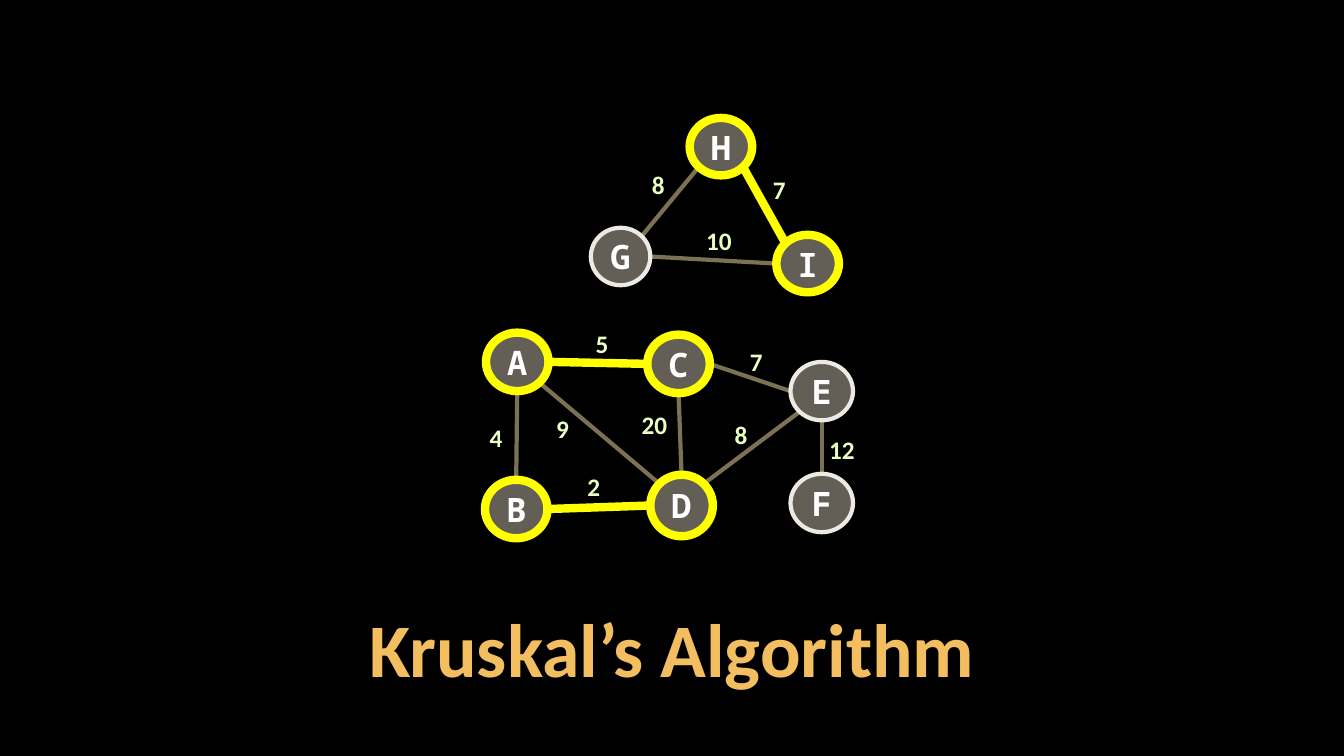
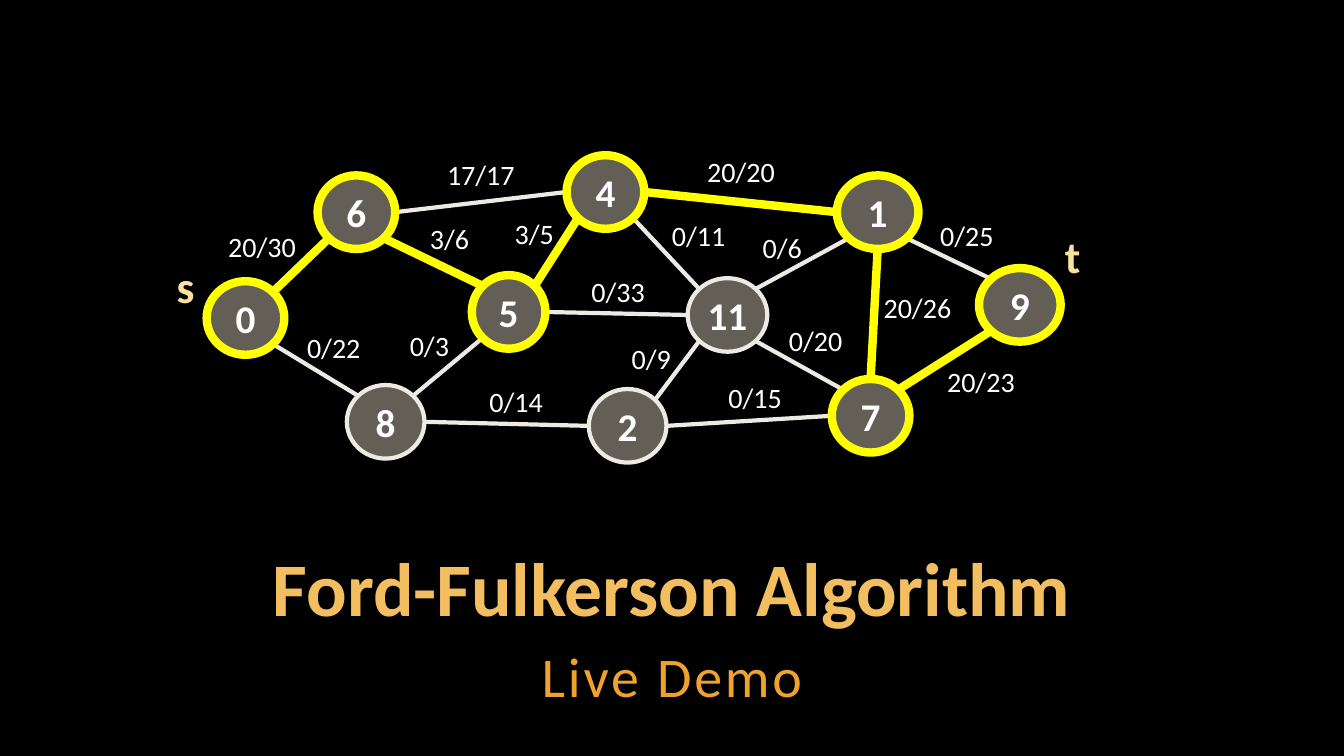
from dataclasses import dataclass
from math import sqrt

from lxml import etree
from pptx import Presentation
from pptx.dml.color import RGBColor
from pptx.enum.shapes import MSO_CONNECTOR, MSO_SHAPE
from pptx.enum.text import MSO_ANCHOR, MSO_AUTO_SIZE, PP_ALIGN
from pptx.oxml.ns import qn
from pptx.slide import Slide
from pptx.text.text import TextFrame
from pptx.util import Inches, Pt

OVAL = MSO_SHAPE.OVAL
STRAIGHT = MSO_CONNECTOR.STRAIGHT
CENTER = PP_ALIGN.CENTER
MIDDLE, BOTTOM = MSO_ANCHOR.MIDDLE, MSO_ANCHOR.BOTTOM
NO_FIT = MSO_AUTO_SIZE.NONE
TITLE_ONLY = 5


@dataclass(frozen=True)
class Theme:
    back: str = "000000"
    title: str = "F3BE60"
    sub: str = "F0A22E"
    white: str = "FFFFFF"
    weight: str = "EBFFC2"
    end: str = "F8E19F"
    node: str = "C7BFAC"
    rim: str = "ECEAE3"
    dim: str = "7C7154"
    mark: str = "FFFF00"
    font: str = "Calibri"
    mono: str = "Noto Sans Mono"
    title_size: int = 54
    sub_size: int = 40
    end_size: int = 32
    thin: int = 3
    thick: int = 6


THEME = Theme()


@dataclass(frozen=True)
class Type:
    size: int
    color: str
    bold: bool = True
    font: str = THEME.font


@dataclass(frozen=True)
class Node:
    name: str
    left: float
    top: float
    width: float
    height: float
    marked: bool = True

    def site(self, side: str) -> tuple[float, float]:
        """Point on the rim at a compass side such as "n" or "se"."""
        dx = ("e" in side) - ("w" in side)
        dy = ("s" in side) - ("n" in side)
        scale = 1 / (2 * sqrt(dx * dx + dy * dy))
        return (self.left + self.width * (0.5 + dx * scale),
                self.top + self.height * (0.5 + dy * scale))


@dataclass(frozen=True)
class Label:
    """Text centred on a point."""
    text: str
    x: float
    y: float


@dataclass(frozen=True)
class Edge:
    start: str
    out: str
    end: str
    into: str
    label: Label
    marked: bool = False


@dataclass(frozen=True)
class Graph:
    nodes: list[Node]
    edges: list[Edge]
    node_type: Type
    label_type: Type
    edge_color: str


KRUSKAL = Graph(
    [
        Node("A", 4.82, 3.3, 0.62, 0.58),
        Node("B", 4.81, 4.76, 0.62, 0.58),
        Node("C", 6.42, 3.32, 0.62, 0.58),
        Node("D", 6.45, 4.71, 0.62, 0.61),
        Node("E", 7.84, 3.59, 0.62, 0.58, False),
        Node("F", 7.84, 4.7, 0.62, 0.58, False),
        Node("G", 5.86, 2.26, 0.59, 0.57, False),
        Node("H", 6.84, 1.17, 0.62, 0.57),
        Node("I", 7.7, 2.33, 0.62, 0.57),
    ],
    [
        Edge("A", "s", "B", "n", Label("4", 4.92, 4.34)),
        Edge("B", "e", "D", "w", Label("2", 5.89, 4.83), True),
        Edge("A", "se", "D", "nw", Label("9", 5.58, 4.25)),
        Edge("E", "s", "F", "n", Label("12", 8.35, 4.46)),
        Edge("D", "ne", "E", "sw", Label("8", 7.35, 4.31)),
        Edge("C", "e", "E", "w", Label("7", 7.5, 3.59)),
        Edge("A", "e", "C", "w", Label("5", 5.97, 3.41), True),
        Edge("C", "s", "D", "n", Label("20", 6.49, 4.21)),
        Edge("G", "e", "I", "w", Label("10", 7.13, 2.39)),
        Edge("G", "ne", "H", "sw", Label("8", 6.53, 1.83)),
        Edge("H", "se", "I", "nw", Label("7", 7.73, 1.88), True),
    ],
    Type(24, THEME.white, font=THEME.mono),
    Type(18, THEME.weight),
    THEME.dim,
)

FLOW = Graph(
    [
        Node("0", 2.05, 2.79, 0.77, 0.73),
        Node("6", 3.15, 1.74, 0.77, 0.73),
        Node("8", 3.44, 3.82, 0.77, 0.73, False),
        Node("5", 4.68, 2.73, 0.73, 0.73),
        Node("4", 5.62, 1.54, 0.77, 0.73),
        Node("2", 5.84, 3.86, 0.77, 0.73, False),
        Node("11", 6.82, 2.76, 0.79, 0.73, False),
        Node("1", 8.3, 1.74, 0.81, 0.73),
        Node("7", 8.25, 3.76, 0.77, 0.73),
        Node("9", 9.71, 2.66, 0.81, 0.73),
    ],
    [
        Edge("0", "ne", "6", "sw", Label("20/30", 2.6, 2.45), True),
        Edge("0", "se", "8", "nw", Label("0/22", 3.31, 3.45)),
        Edge("6", "e", "4", "w", Label("17/17", 4.77, 1.73)),
        Edge("6", "se", "5", "nw", Label("3/6", 4.46, 2.37), True),
        Edge("8", "ne", "5", "sw", Label("0/3", 4.26, 3.43)),
        Edge("8", "e", "2", "w", Label("0/14", 5.12, 3.98)),
        Edge("5", "ne", "4", "sw", Label("3/5", 5.3, 2.32), True),
        Edge("5", "e", "11", "w", Label("0/33", 6.13, 2.89)),
        Edge("4", "e", "1", "w", Label("20/20", 7.35, 1.7), True),
        Edge("4", "se", "11", "nw", Label("0/11", 6.93, 2.34)),
        Edge("2", "ne", "11", "sw", Label("0/9", 6.46, 3.56)),
        Edge("2", "e", "7", "w", Label("0/15", 7.49, 3.94)),
        Edge("11", "ne", "1", "sw", Label("0/6", 7.76, 2.46)),
        Edge("11", "se", "7", "nw", Label("0/20", 8.09, 3.38)),
        Edge("1", "s", "7", "n", Label("20/26", 9.1, 3.05), True),
        Edge("1", "se", "9", "nw", Label("0/25", 9.59, 2.34)),
        Edge("7", "ne", "9", "sw", Label("20/23", 9.73, 3.79), True),
    ],
    Type(28, THEME.white),
    Type(20, THEME.white, False),
    THEME.rim,
)

ENDS = [Label("s", 1.84, 2.84), Label("t", 10.64, 2.54)]


def rgb(color: str) -> RGBColor:
    return RGBColor.from_string(color)


def write(frame: TextFrame, text: str, look: Type, wrap: bool = False) -> None:
    frame.word_wrap = wrap
    frame.auto_size = NO_FIT
    para = frame.paragraphs[0]
    para.text = text
    para.alignment = CENTER
    font = para.font
    font.name, font.size, font.bold = look.font, Pt(look.size), look.bold
    font.color.rgb = rgb(look.color)


def set_insets(frame: TextFrame, gap: float) -> None:
    frame.margin_left = frame.margin_right = Inches(gap)
    frame.margin_top = frame.margin_bottom = Inches(gap)


def add_label(slide: Slide, label: Label, look: Type) -> None:
    wide = 0.2 + len(label.text) * look.size / 144
    high = 0.1 + look.size * 1.22 / 72
    box = slide.shapes.add_textbox(
        Inches(label.x - wide / 2), Inches(label.y - high / 2),
        Inches(wide), Inches(high))
    write(box.text_frame, label.text, look)


def add_node(slide: Slide, node: Node, look: Type) -> None:
    oval = slide.shapes.add_shape(
        OVAL, Inches(node.left), Inches(node.top),
        Inches(node.width), Inches(node.height))
    oval.shadow.inherit = False
    oval.fill.solid()
    oval.fill.fore_color.rgb = rgb(THEME.node)
    tint = oval.fill._xPr.find(f".//{qn('a:srgbClr')}")
    etree.SubElement(tint, qn("a:alpha"), val="50000")
    oval.line.color.rgb = rgb(THEME.mark if node.marked else THEME.rim)
    oval.line.width = Pt(THEME.thick if node.marked else THEME.thin)
    frame = oval.text_frame
    frame.vertical_anchor = MIDDLE
    write(frame, node.name, look)


def add_edge(slide: Slide, edge: Edge, nodes: dict[str, Node],
             color: str) -> None:
    ends = (*nodes[edge.start].site(edge.out),
            *nodes[edge.end].site(edge.into))
    link = slide.shapes.add_connector(STRAIGHT, *map(Inches, ends))
    link.line.color.rgb = rgb(THEME.mark if edge.marked else color)
    link.line.width = Pt(THEME.thick if edge.marked else THEME.thin)
    etree.SubElement(link._element.spPr, qn("a:effectLst"))


def add_graph(slide: Slide, graph: Graph) -> None:
    nodes = {node.name: node for node in graph.nodes}
    for edge in graph.edges:
        add_edge(slide, edge, nodes, graph.edge_color)
    for node in graph.nodes:
        add_node(slide, node, graph.node_type)
    for edge in graph.edges:
        add_label(slide, edge.label, graph.label_type)


def add_slide(deck: Presentation, title: str, top: float) -> Slide:
    slide = deck.slides.add_slide(deck.slide_layouts[TITLE_ONLY])
    head = slide.shapes.title
    head.left, head.top = Inches(1), Inches(top)
    head.width, head.height = Inches(11.33), Inches(0.9)
    frame = head.text_frame
    set_insets(frame, 0.04)
    frame.vertical_anchor = BOTTOM
    write(frame, title, Type(THEME.title_size, THEME.title), True)
    frame.paragraphs[0].line_spacing = 0.9
    return slide


def add_sub(slide: Slide, text: str) -> None:
    box = slide.shapes.add_textbox(
        Inches(1), Inches(6.29), Inches(11.33), Inches(0.79))
    frame = box.text_frame
    set_insets(frame, 0.04)
    write(frame, text, Type(THEME.sub_size, THEME.sub, False), True)
    para = frame.paragraphs[0]
    para.line_spacing = 1.05
    para.runs[0]._r.get_or_add_rPr().set("spc", "200")


def main() -> None:
    deck = Presentation()
    deck.slide_width, deck.slide_height = Inches(13.33), Inches(7.5)
    fill = deck.slide_master.background.fill
    fill.solid()
    fill.fore_color.rgb = rgb(THEME.back)

    add_graph(add_slide(deck, "Kruskal’s Algorithm", 6.02), KRUSKAL)

    slide = add_slide(deck, "Ford-Fulkerson Algorithm", 5.42)
    add_sub(slide, "Live Demo")
    add_graph(slide, FLOW)
    for label in ENDS:
        add_label(slide, label, Type(THEME.end_size, THEME.end))

    deck.save("out.pptx")


if __name__ == "__main__":
    main()
